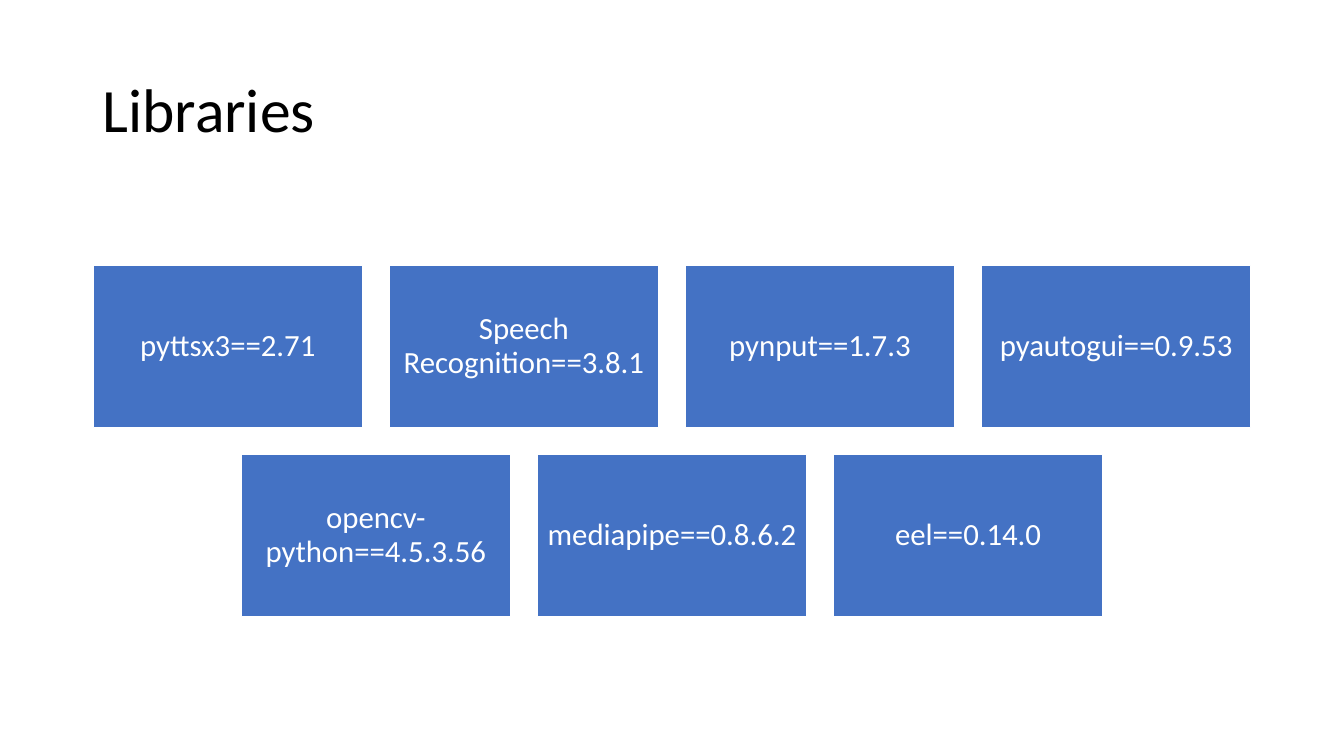
"""Build the Libraries slide: a title above two centred rows of boxes."""
from dataclasses import dataclass

from pptx import Presentation
from pptx.dml.color import RGBColor
from pptx.enum.shapes import MSO_SHAPE
from pptx.enum.text import MSO_ANCHOR, PP_ALIGN
from pptx.util import Pt

TITLE = "Libraries"
LIBRARY_ROWS = [
    ["pyttsx3==2.71", "Speech Recognition==3.8.1", "pynput==1.7.3", "pyautogui==0.9.53"],
    ["opencv-python==4.5.3.56", "mediapipe==0.8.6.2", "eel==0.14.0"],
]

PX = 9525
SLIDE_WIDTH, SLIDE_HEIGHT = 1280, 720
TITLE_AREA = (88, 38, 1104, 139)
BOX_WIDTH, BOX_HEIGHT, GAP = 256, 154, 26
ROWS_TOP = 253
BOX_INSET = 8

RECTANGLE = MSO_SHAPE.RECTANGLE
MIDDLE = MSO_ANCHOR.MIDDLE
LEFT, CENTER = PP_ALIGN.LEFT, PP_ALIGN.CENTER


@dataclass(frozen=True)
class Theme:
    font: str = "Calibri"
    title_size: int = 44
    box_size: int = 22
    black: RGBColor = RGBColor(0, 0, 0)
    white: RGBColor = RGBColor(255, 255, 255)
    blue: RGBColor = RGBColor(0x44, 0x72, 0xC4)


THEME = Theme()


def write_text(shape, text, size, color, alignment):
    frame = shape.text_frame
    frame.text = text
    frame.word_wrap = True
    frame.vertical_anchor = MIDDLE
    para = frame.paragraphs[0]
    para.alignment = alignment
    para.line_spacing = 0.9
    font = para.runs[0].font
    font.name = THEME.font
    font.size = Pt(size)
    font.color.rgb = color


def add_title(page):
    title = page.shapes.title
    title.left, title.top, title.width, title.height = (side * PX for side in TITLE_AREA)
    write_text(title, TITLE, THEME.title_size, THEME.black, LEFT)


def add_library(page, name, left, top):
    box = page.shapes.add_shape(
        RECTANGLE, left * PX, top * PX, BOX_WIDTH * PX, BOX_HEIGHT * PX)
    box.shadow.inherit = False
    box.fill.solid()
    box.fill.fore_color.rgb = THEME.blue
    box.line.color.rgb = THEME.white
    box.line.width = Pt(1)
    frame = box.text_frame
    frame.margin_left = frame.margin_right = BOX_INSET * PX
    frame.margin_top = frame.margin_bottom = BOX_INSET * PX
    write_text(box, name, THEME.box_size, THEME.white, CENTER)


def main():
    deck = Presentation()
    deck.slide_width, deck.slide_height = SLIDE_WIDTH * PX, SLIDE_HEIGHT * PX
    page = deck.slides.add_slide(deck.slide_layouts[5])
    add_title(page)
    for row, names in enumerate(LIBRARY_ROWS):
        row_width = len(names) * (BOX_WIDTH + GAP) - GAP
        row_left = (SLIDE_WIDTH - row_width) // 2
        top = ROWS_TOP + row * (BOX_HEIGHT + GAP)
        for column, name in enumerate(names):
            add_library(page, name, row_left + column * (BOX_WIDTH + GAP), top)
    deck.save("out.pptx")


if __name__ == "__main__":
    main()
